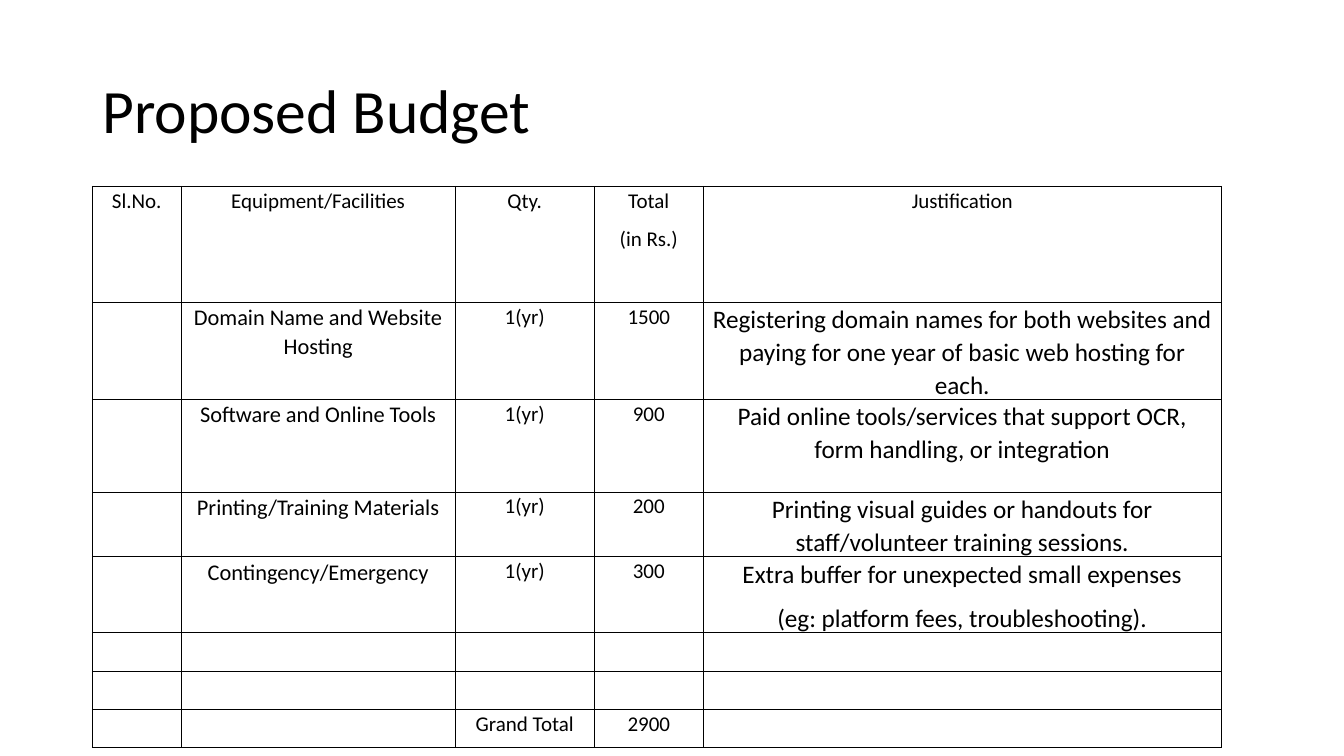
from lxml.etree import SubElement
from pptx import Presentation
from pptx.dml.color import RGBColor
from pptx.enum.text import MSO_ANCHOR, PP_ALIGN
from pptx.oxml.ns import qn
from pptx.util import Pt

COLORS = {"text": "000000", "border": "000000", "background": "FFFFFF"}
FONT = "Calibri"

COLUMN_WIDTHS = [63.4, 195.8, 99.4, 77.8, 370]
ROW_HEIGHTS = [82.8, 66.2, 66.2, 43.9, 51.8, 27.4, 27.4, 27.4]
HEADER_SIZES = [15] * 5
ITEM_SIZES = [15, 16, 15, 15, 18]

BUDGET = [
    ["Sl.No.", "Equipment/Facilities", "Qty.", "Total\n(in Rs.)", "Justification"],
    ["", "Domain Name and Website Hosting", "1(yr)", "1500",
     "Registering domain names for both websites and paying for one year "
     "of basic web hosting for each."],
    ["", "Software and Online Tools", "1(yr)", "900",
     "Paid online tools/services that support OCR, form handling, or integration"],
    ["", "Printing/Training Materials", "1(yr)", "200",
     "Printing visual guides or handouts for staff/volunteer training sessions."],
    ["", "Contingency/Emergency", "1(yr)", "300",
     "Extra buffer for unexpected small expenses\n"
     "(eg: platform fees, troubleshooting)."],
    [""] * 5,
    [""] * 5,
    ["", "", "Grand Total", "2900", ""],
]


def style_runs(paragraph, size):
    for run in paragraph.runs:
        run.font.name = FONT
        run.font.size = Pt(size)
        run.font.color.rgb = RGBColor.from_string(COLORS["text"])


def add_title(slide, left, top, width, height):
    title = slide.shapes.add_textbox(Pt(left), Pt(top), Pt(width), Pt(height))
    frame = title.text_frame
    frame.word_wrap = True
    frame.vertical_anchor = MSO_ANCHOR.MIDDLE
    frame.text = "Proposed Budget"
    heading = frame.paragraphs[0]
    heading.line_spacing = 0.9
    style_runs(heading, 44)


def add_borders(cell, width):
    properties = cell._tc.get_or_add_tcPr()
    for side in ("a:lnL", "a:lnR", "a:lnT", "a:lnB"):
        line = SubElement(properties, qn(side), w=str(Pt(width)))
        fill = SubElement(line, qn("a:solidFill"))
        SubElement(fill, qn("a:srgbClr"), val=COLORS["border"])


def fill_cell(cell, entry, size):
    add_borders(cell, 1)
    cell.fill.background()
    cell.margin_left = cell.margin_right = Pt(5)
    cell.margin_top = cell.margin_bottom = 0
    if not entry:
        return
    cell.text_frame.text = entry
    for paragraph in cell.text_frame.paragraphs:
        paragraph.alignment = PP_ALIGN.CENTER
        paragraph.line_spacing = 1.07
        paragraph.space_after = Pt(8)
        style_runs(paragraph, size)


def add_budget_table(slide, left, top):
    budget = slide.shapes.add_table(
        len(ROW_HEIGHTS), len(COLUMN_WIDTHS), Pt(left), Pt(top),
        Pt(sum(COLUMN_WIDTHS)), Pt(sum(ROW_HEIGHTS))).table
    budget.first_row = False
    budget.horz_banding = False
    for column, width in zip(budget.columns, COLUMN_WIDTHS):
        column.width = Pt(width)
    for index, (row, height) in enumerate(zip(budget.rows, ROW_HEIGHTS)):
        row.height = Pt(height)
        sizes = ITEM_SIZES if index else HEADER_SIZES
        for cell, entry, size in zip(row.cells, BUDGET[index], sizes):
            fill_cell(cell, entry, size)


def main():
    presentation = Presentation()
    presentation.slide_width = Pt(960)
    presentation.slide_height = Pt(540)
    slide = presentation.slides.add_slide(presentation.slide_layouts[6])
    slide.background.fill.solid()
    slide.background.fill.fore_color.rgb = RGBColor.from_string(COLORS["background"])

    # Heading above the budget, both on the same left edge
    margin = 66
    add_title(slide, margin, 28.8, 828, 104.4)
    add_budget_table(slide, margin, 133.2)

    presentation.save("out.pptx")


if __name__ == "__main__":
    main()
